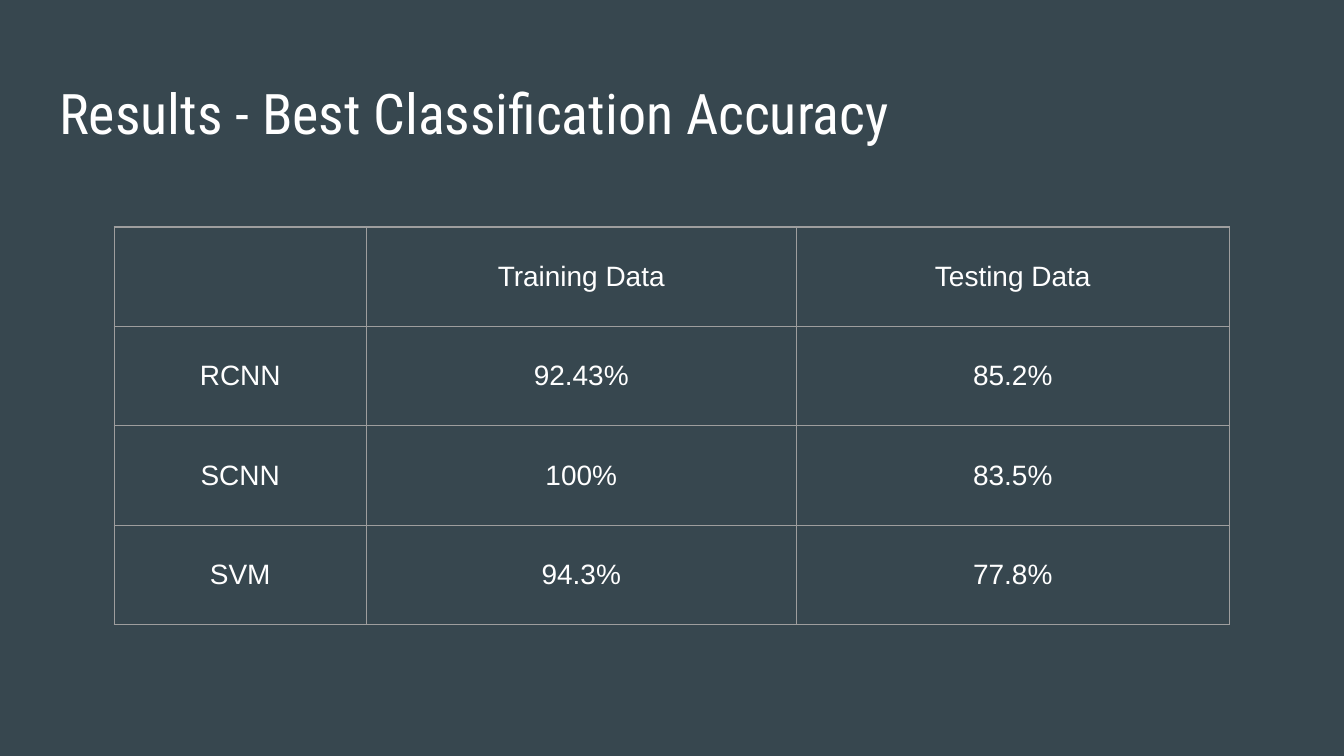
from lxml import etree
from pptx import Presentation
from pptx import util as u
from pptx.dml.color import RGBColor
from pptx.enum import text
from pptx.oxml import ns

MARGINS = {f"margin_{side}": u.Cm(0.25) for side in ("left", "top", "right", "bottom")}
RESULTS = [
    ["", "Training Data", "Testing Data"],
    ["RCNN", "92.43%", "85.2%"],
    ["SCNN", "100%", "83.5%"],
    ["SVM", "94.3%", "77.8%"],
]


def color(value):
    return RGBColor.from_string(value)


def apply(target, formats):
    for name, value in formats.items():
        setattr(target, name, value)


class Deck:
    background = "37474F"
    ink = "FFFFFF"
    border = "9E9E9E"
    title_font = {"name": "Roboto Condensed", "size": u.Pt(30)}
    body_font = {"name": "Arial", "size": u.Pt(15)}

    def __init__(self, width, height):
        self.presentation = Presentation()
        apply(self.presentation, {"slide_width": u.Cm(width), "slide_height": u.Cm(height)})

    def add_slide(self):
        self.slide = self.presentation.slides.add_slide(self.presentation.slide_layouts[6])
        fill = self.slide.background.fill
        fill.solid()
        fill.fore_color.rgb = color(self.background)

    def add_text(self, paragraph, content, font, alignment):
        paragraph.alignment = alignment
        run = paragraph.add_run()
        run.text = content
        apply(run.font, font)
        run.font.color.rgb = color(self.ink)

    def title(self, content, left, top, width, height):
        shape = self.slide.shapes.add_textbox(*map(u.Cm, (left, top, width, height)))
        frame = shape.text_frame
        apply(frame, {**MARGINS, "word_wrap": True, "vertical_anchor": text.MSO_ANCHOR.TOP})
        self.add_text(frame.paragraphs[0], content, self.title_font, text.PP_ALIGN.LEFT)

    def outline(self, cell):
        properties = cell._tc.get_or_add_tcPr()
        for index, side in enumerate("LRTB"):
            line = etree.Element(ns.qn(f"a:ln{side}"), w=str(u.Pt(0.75)))
            fill = etree.SubElement(line, ns.qn("a:solidFill"))
            etree.SubElement(fill, ns.qn("a:srgbClr"), val=self.border)
            properties.insert(index, line)

    def table(self, rows, left, top, column_widths, row_height):
        shape = self.slide.shapes.add_table(
            len(rows), len(column_widths), u.Cm(left), u.Cm(top),
            u.Cm(sum(column_widths)), u.Cm(row_height * len(rows)))
        table = shape.table
        apply(table, {"first_row": False, "horz_banding": False})
        for column, width in zip(table.columns, column_widths):
            column.width = u.Cm(width)
        for row, values in zip(table.rows, rows):
            row.height = u.Cm(row_height)
            for cell, value in zip(row.cells, values):
                apply(cell, {**MARGINS, "vertical_anchor": text.MSO_ANCHOR.MIDDLE})
                cell.fill.background()
                self.outline(cell)
                if value:
                    self.add_text(cell.text_frame.paragraphs[0], value,
                                  self.body_font, text.PP_ALIGN.CENTER)


def main():
    deck = Deck(25.4, 14.29)
    deck.add_slide()
    deck.title("Results - Best Classification Accuracy", 0.87, 1.24, 23.67, 1.6)
    deck.table(RESULTS, 2.16, 4.29, [4.76, 8.13, 8.18], 1.88)
    deck.presentation.save("out.pptx")


if __name__ == "__main__":
    main()
